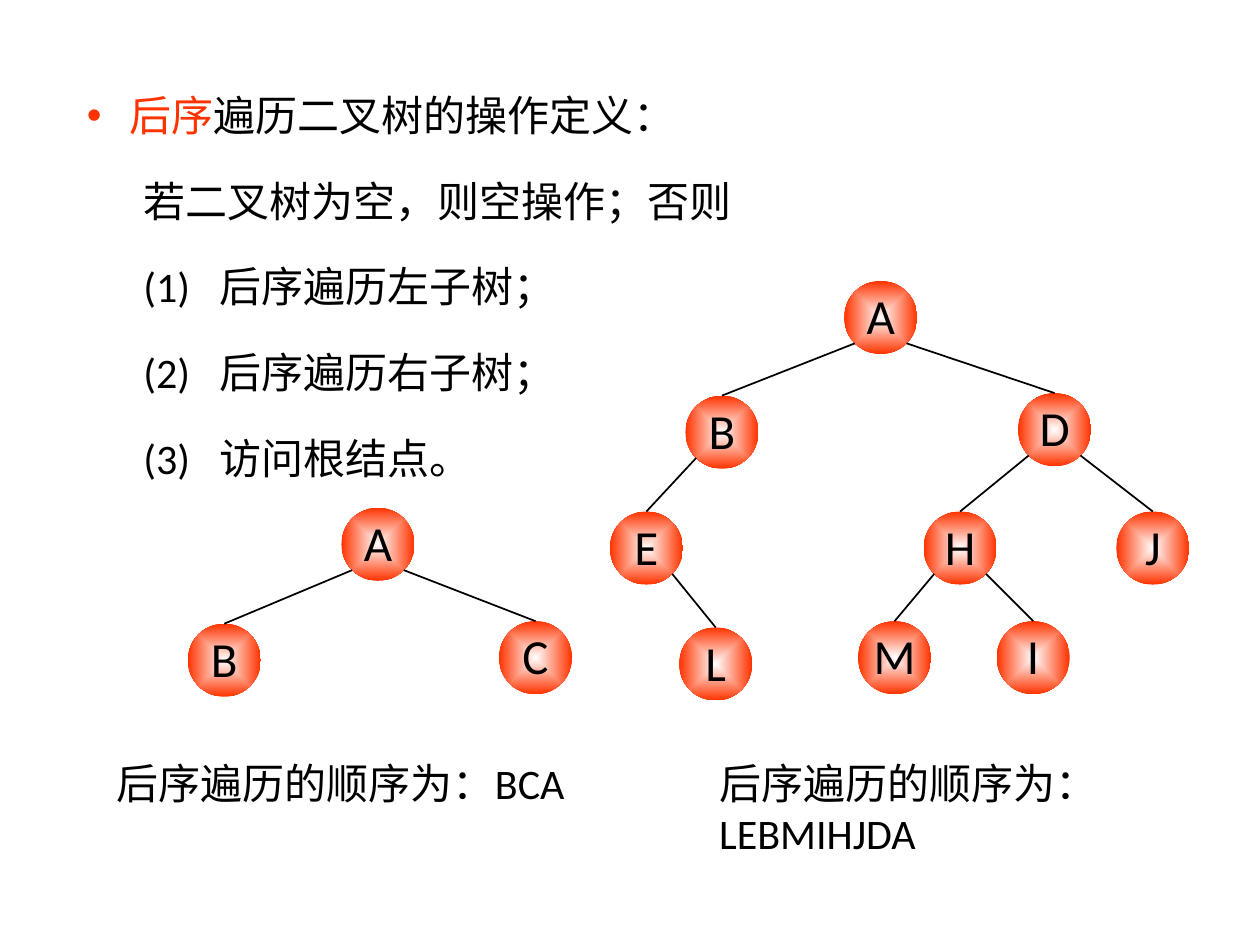
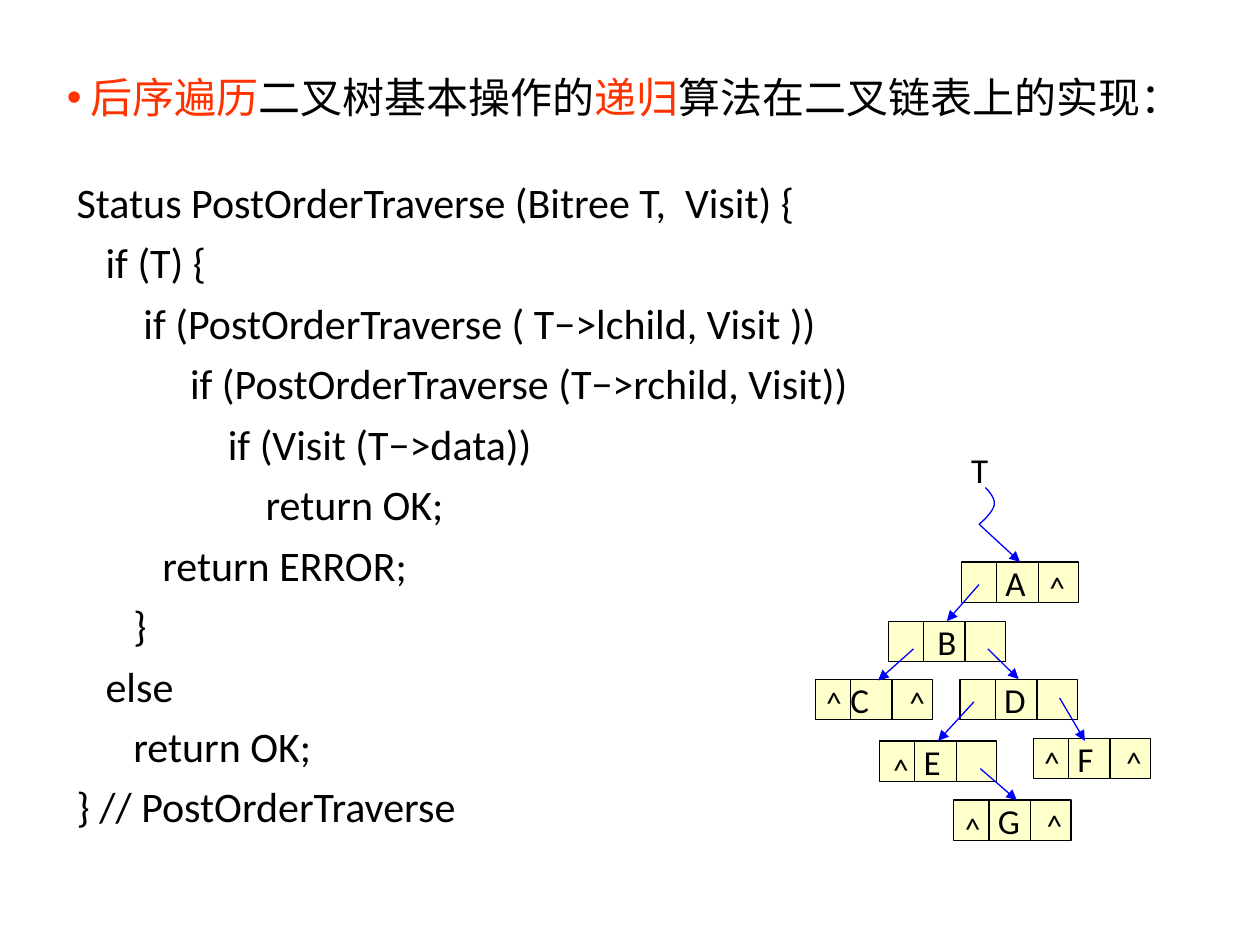
from lxml import etree
from pptx import Presentation
from pptx.dml.color import RGBColor
from pptx.enum import shapes, text
from pptx.oxml.ns import qn
from pptx.util import Inches, Pt

COLORS = {"text": "000000", "accent": "FF3300", "shine": "FFFFFF",
          "record": "FFFFCC", "pointer": "0000FF"}
FONT = "Calibri"
NODE_SIZE = 0.58
NODE_DIAGONAL = NODE_SIZE / 2 * 0.7071
RECORD_WIDTH, RECORD_HEIGHT = 0.93, 0.32
RECORD_DIVIDERS = (0.28, 0.61)

SMALL_TREE = {"A": (2.71, 4.03), "B": (1.49, 4.95), "C": (3.96, 4.93)}
SMALL_EDGES = ["AB", "AC"]
LARGE_TREE = {"A": (6.7, 2.23), "B": (5.44, 3.14), "D": (8.08, 3.12),
              "E": (4.84, 4.06), "H": (7.33, 4.06), "J": (8.86, 4.06),
              "L": (5.39, 4.98), "M": (6.81, 4.93), "I": (7.91, 4.93)}
LARGE_EDGES = ["AB", "AD", "BE", "EL", "DH", "DJ", "HM", "HI"]

STEPS = ["后序遍历左子树；", "后序遍历右子树；", "访问根结点。"]

# Indent in inches, then the line of code
CODE = [
    (0, "Status PostOrderTraverse (Bitree T,  Visit) {"),
    (0.23, "if (T) {"),
    (0.53, "if (PostOrderTraverse ( T−>lchild, Visit ))"),
    (0.9, "if (PostOrderTraverse (T−>rchild, Visit))"),
    (1.2, "if (Visit (T−>data))"),
    (1.5, "return OK;"),
    (0.68, "return ERROR;"),
    (0.45, "}"),
    (0.23, "else"),
    (0.45, "return OK;"),
    (0, "} // PostOrderTraverse"),
]

# Left, top and offset of the letter
RECORDS = {"A": (7.63, 4.46, 0.35), "B": (7.05, 4.93, 0.39),
           "C": (6.47, 5.39, 0.28), "D": (7.62, 5.39, 0.35),
           "E": (6.98, 5.88, 0.35), "F": (8.2, 5.86, 0.35),
           "G": (7.57, 6.35, 0.35)}
# Start, then the record whose top is met, or a free end point
POINTERS = [((7.77, 4.16), "A"), ((7.77, 4.64), "B"),
            ((7.25, 5.15), (6.97, 5.4)), ((7.84, 5.15), "D"),
            ((7.73, 5.57), "E"), ((8.41, 5.54), (8.61, 5.88)),
            ((7.78, 6.1), (8.07, 6.35))]
NULL_MARKS = [(8.19, 4.41), (6.42, 5.32), (7.08, 5.32), (6.95, 5.85),
              (8.15, 5.8), (8.8, 5.8), (7.52, 6.32), (8.17, 6.3)]
ROOT_CURVES = [((7.82, 3.87), (7.86, 3.91), (7.9, 3.96), (7.89, 4.01)),
               ((7.89, 4.01), (7.88, 4.06), (7.8, 4.14), (7.77, 4.16))]


def color(name):
    return RGBColor.from_string(COLORS[name])


def inches(*lengths):
    return [Inches(length) for length in lengths]


def style_paragraph(para, size=24, spacing=None, indent=0, hang=0):
    para.font.size = Pt(size)
    para.font.name = FONT
    para.font.color.rgb = color("text")
    if spacing:
        para.line_spacing = spacing
    props = para._p.get_or_add_pPr()
    props.set("marL", str(Inches(indent + hang)))
    props.set("indent", str(-Inches(hang)))


def add_bullet(para):
    props = para._p.get_or_add_pPr()
    bullet_color = etree.SubElement(props, qn("a:buClr"))
    etree.SubElement(bullet_color, qn("a:srgbClr"), val=COLORS["accent"])
    etree.SubElement(props, qn("a:buFont"), typeface="Arial")
    etree.SubElement(props, qn("a:buChar"), char="•")


def set_title(page, place, spans, hang, spacing=None):
    """Fill the title with (words, colour name) spans behind a bullet."""
    title = page.shapes.title
    title.left, title.top, title.width, title.height = inches(*place)
    frame = title.text_frame
    frame.auto_size = text.MSO_AUTO_SIZE.NONE
    frame.vertical_anchor = text.MSO_ANCHOR.TOP
    para = frame.paragraphs[0]
    para.alignment = text.PP_ALIGN.LEFT
    add_bullet(para)
    style_paragraph(para, spacing=spacing, hang=hang)
    for words, color_name in spans:
        span = para.add_run()
        span.text = words
        span.font.color.rgb = color(color_name)


def add_text(page, place, lines, size=24, spacing=None):
    """Add a text box from (words, indent, hang) lines."""
    box = page.shapes.add_textbox(*inches(*place))
    frame = box.text_frame
    frame.word_wrap = True
    for index, (words, indent, hang) in enumerate(lines):
        para = frame.add_paragraph() if index else frame.paragraphs[0]
        para.text = words
        style_paragraph(para, size, spacing, indent, hang)
    return box


def add_label(page, place, words, size):
    """Add one word centred in its box."""
    frame = add_text(page, place, [(words, 0, 0)], size).text_frame
    frame.vertical_anchor = text.MSO_ANCHOR.MIDDLE
    frame.paragraphs[0].alignment = text.PP_ALIGN.CENTER


def add_lettered_shape(page, kind, place, letter, size):
    shape = page.shapes.add_shape(kind, *inches(*place))
    shape.shadow.inherit = False
    frame = shape.text_frame
    frame.margin_left = frame.margin_right = 0
    frame.margin_top = frame.margin_bottom = 0
    frame.vertical_anchor = text.MSO_ANCHOR.MIDDLE
    frame.text = letter
    style_paragraph(frame.paragraphs[0], size)
    return shape


def add_line(page, start, end, color_name="text", width=0.75, arrow=False):
    line = page.shapes.add_connector(
        shapes.MSO_CONNECTOR.STRAIGHT, *inches(*start, *end))
    line.line.color.rgb = color(color_name)
    line.line.width = Pt(width)
    if arrow:
        etree.SubElement(line.line._get_or_add_ln(), qn("a:tailEnd"),
                         type="triangle")
    etree.SubElement(line._element.spPr, qn("a:effectLst"))
    return line


def add_node(page, letter, left, top):
    node = add_lettered_shape(page, shapes.MSO_SHAPE.OVAL,
                              (left, top, NODE_SIZE, NODE_SIZE), letter, 28)
    node.text_frame.margin_bottom = Inches(0.04)
    node.text_frame.paragraphs[0].alignment = text.PP_ALIGN.CENTER
    node.line.fill.background()
    node.fill.gradient()
    for stop, name in zip(node.fill.gradient_stops, ("shine", "accent")):
        stop.color.rgb = color(name)
    gradient = node._element.spPr.find(qn("a:gradFill"))
    gradient.remove(gradient.find(qn("a:lin")))
    spread = etree.SubElement(gradient, qn("a:path"), {"path": "shape"})
    etree.SubElement(spread, qn("a:fillToRect"),
                     {side: "50000" for side in "ltrb"})
    return node


def add_tree(page, places, edges):
    """Draw nodes, and edges from a parent's lower corner to a child's top."""
    nodes = {letter: add_node(page, letter, *place)
             for letter, place in places.items()}
    radius = NODE_SIZE / 2
    for parent, child in edges:
        left, top = places[parent]
        child_left, child_top = places[child]
        side = -1 if child_left < left else 1
        start = (left + radius + side * NODE_DIAGONAL,
                 top + radius + NODE_DIAGONAL)
        edge = add_line(page, start, (child_left + radius, child_top), width=1)
        edge.end_connect(nodes[child], 0)


def add_record(page, letter, left, top, letter_offset):
    """Draw a linked-list record: left link, data, right link."""
    record = add_lettered_shape(
        page, shapes.MSO_SHAPE.RECTANGLE,
        (left, top, RECORD_WIDTH, RECORD_HEIGHT), letter, 20)
    record.fill.solid()
    record.fill.fore_color.rgb = color("record")
    record.line.color.rgb = color("text")
    record.line.width = Pt(0.75)
    record.text_frame.margin_left = Inches(letter_offset)
    record.text_frame.paragraphs[0].alignment = text.PP_ALIGN.LEFT
    for offset in RECORD_DIVIDERS:
        add_line(page, (left + offset, top),
                 (left + offset, top + RECORD_HEIGHT))
    return record


def add_pointer(page, records, start, target):
    if target in records:
        left, top, _ = RECORDS[target]
        end = (left + RECORD_WIDTH / 2, top)
    else:
        end = target
    pointer = add_line(page, start, end, "pointer", arrow=True)
    if target in records:
        pointer.end_connect(records[target], 0)


def curve_point(curve, t):
    """Return the point at t on a cubic Bézier curve."""
    weights = ((1 - t) ** 3, 3 * t * (1 - t) ** 2, 3 * t ** 2 * (1 - t), t ** 3)
    return tuple(sum(weight * point[axis]
                     for weight, point in zip(weights, curve))
                 for axis in (0, 1))


def add_curve(page, curves, steps=10):
    builder = page.shapes.build_freeform(*inches(*curves[0][0]))
    builder.add_line_segments(
        [inches(*curve_point(curve, step / steps))
         for curve in curves for step in range(1, steps + 1)], close=False)
    shape = builder.convert_to_shape()
    shape.shadow.inherit = False
    shape.fill.background()
    shape.line.color.rgb = color("pointer")
    shape.line.width = Pt(0.75)


def build_definition(page):
    set_title(page, (0.59, 0.38, 5.48, 0.78),
              [("后序", "accent"), ("遍历二叉树的操作定义：", "text")],
              hang=0.34, spacing=1.7)
    lines = [("若二叉树为空，则空操作；否则", 0.45, 0)]
    lines += [(f"({number})\t{step}", 0.45, 0.6)
              for number, step in enumerate(STEPS, 1)]
    add_text(page, (0.59, 1.06, 5.48, 2.81), lines, spacing=1.7)
    add_text(page, (0.83, 5.96, 4.25, 0.5), [("后序遍历的顺序为：BCA", 0, 0)])
    add_text(page, (5.61, 5.96, 3.58, 0.91),
             [("后序遍历的顺序为：", 0, 0), ("LEBMIHJDA", 0, 0)])
    add_tree(page, SMALL_TREE, SMALL_EDGES)
    add_tree(page, LARGE_TREE, LARGE_EDGES)


def build_algorithm(page):
    set_title(page, (0.43, 0.52, 9.27, 0.5),
              [("后序遍历", "accent"), ("二叉树基本操作的", "text"),
               ("递归", "accent"), ("算法在二叉链表上的实现：", "text")],
              hang=0.19)
    add_text(page, (0.51, 1.27, 6.49, 5.4),
             [(words, indent, 0) for indent, words in CODE], spacing=1.2)
    records = {letter: add_record(page, letter, *place)
               for letter, place in RECORDS.items()}
    add_curve(page, ROOT_CURVES)
    for start, target in POINTERS:
        add_pointer(page, records, start, target)
    for left, top in NULL_MARKS:
        add_label(page, (left, top, 0.4, 0.5), "^", 18)
    add_text(page, (7.61, 3.51, 0.46, 0.43), [("T", 0, 0)], size=20)


def main():
    deck = Presentation()
    deck.slide_width, deck.slide_height = inches(10, 7.5)
    title_only = deck.slide_layouts[5]
    for build in (build_definition, build_algorithm):
        build(deck.slides.add_slide(title_only))
    deck.save("out.pptx")


if __name__ == "__main__":
    main()
